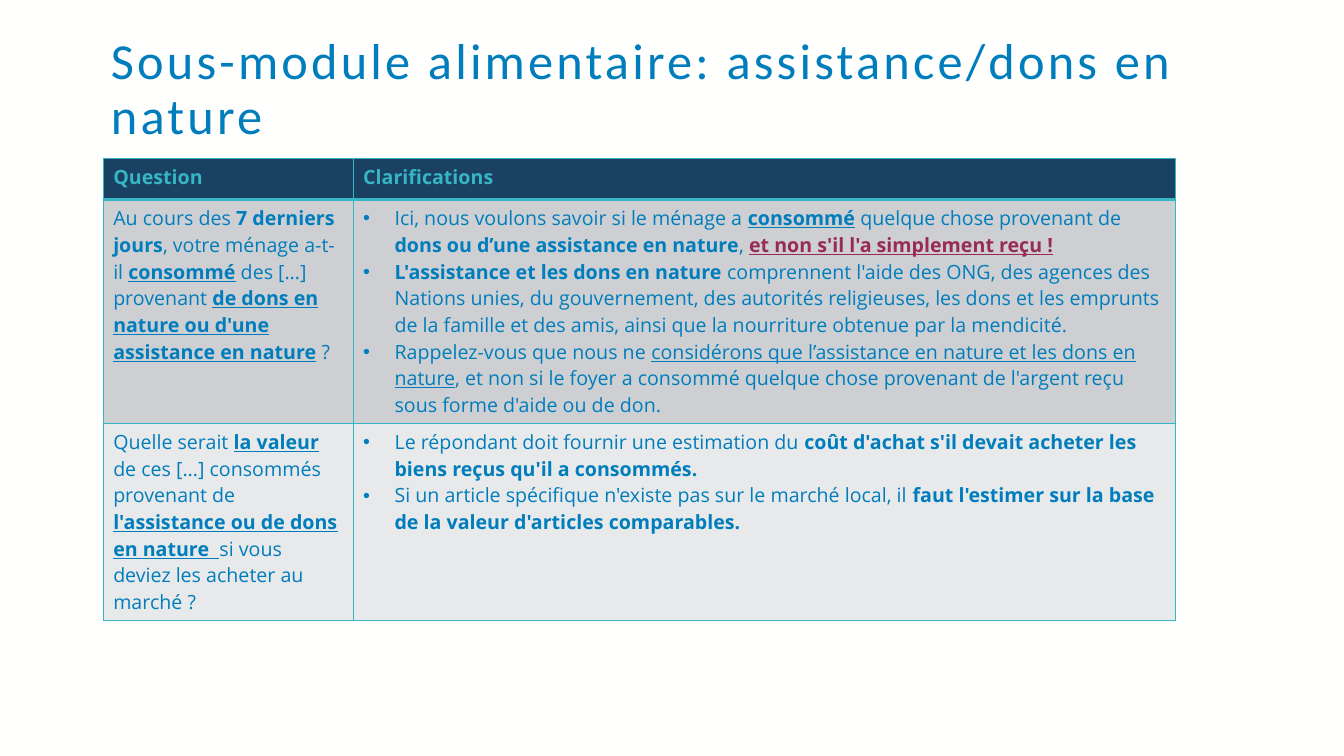
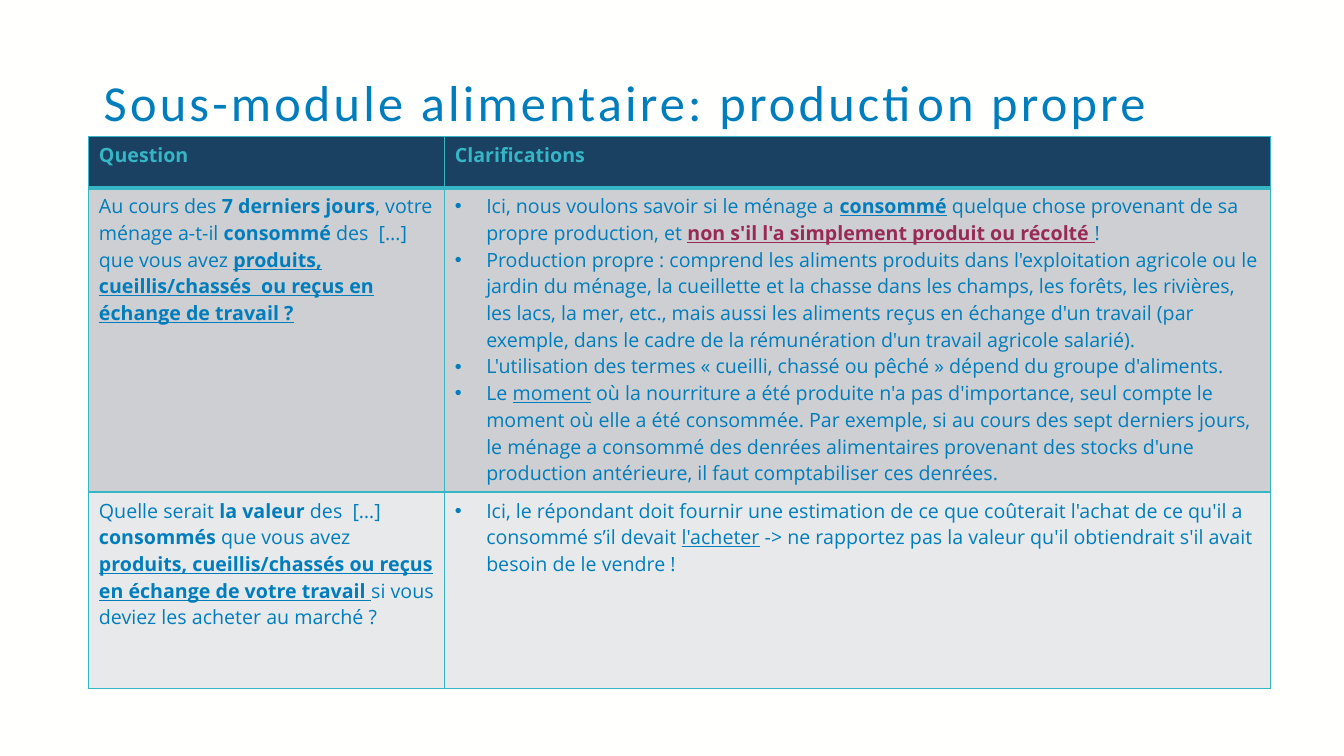
"""Builds two slides of questions and clarifications on the food sub-module."""
import pptx
import pptx.dml.color
import pptx.enum.text
import pptx.oxml
import pptx.oxml.ns
import pptx.util

Cm = pptx.util.Cm
Pt = pptx.util.Pt

COLORS = {
    "background": "FFFFFE",
    "text": "007DBC",
    "alert": "982B56",
    "teal": "36B5C5",
    "navy": "1A4161",
}
ROW_FILLS = [COLORS["navy"], "CDCFD2", "E8E9EA"]
TITLE_FONT = "Calibri"
TABLE_FONT = "Open Sans"
BULLET_INDENT = Cm(0.79)
HEADERS = ["Question", "Clarifications"]

STYLES = {
    "plain": {},
    "bold": {"bold": True},
    "line": {"underline": True},
    "key": {"bold": True, "underline": True},
    "alert": {"bold": True, "underline": True, "color": COLORS["alert"]},
    "header": {"bold": True, "color": COLORS["teal"]},
}

SLIDES = [
    {
        "title": "Sous-module alimentaire: assistance/dons en nature",
        "title_box": (2.54, 0.79, 30.23, 2.59),
        "table_at": (2.6, 3.99),
        "columns": [6.3, 20.73],
        "rows": [1.04, 5.61, 4.95],
        "entries": [
            {
                "question": [
                    ("Au cours des ", "plain"),
                    ("7 derniers jours", "bold"),
                    (", votre ménage a-t-il ", "plain"),
                    ("consommé", "key"),
                    (" des […]  provenant ", "plain"),
                    ("de dons en nature ou d'une assistance en nature", "key"),
                    (" ?", "plain"),
                ],
                "clarifications": [
                    [
                        ("Ici, nous voulons savoir si le ménage a ", "plain"),
                        ("consommé", "key"),
                        (" quelque chose provenant de ", "plain"),
                        ("dons ou d’une assistance en nature", "bold"),
                        (", ", "plain"),
                        ("et non s'il l'a simplement reçu !", "alert"),
                    ],
                    [
                        ("L'assistance et les dons en nature", "bold"),
                        (" comprennent l'aide des ONG, des agences des Nations unies, "
                         "du gouvernement, des autorités religieuses, les dons et les "
                         "emprunts de la famille et des amis, ainsi que la nourriture "
                         "obtenue par la mendicité.", "plain"),
                    ],
                    [
                        ("Rappelez-vous que nous ne ", "plain"),
                        ("considérons que l’assistance en nature et les dons en nature",
                         "line"),
                        (", et non si le foyer a consommé quelque chose provenant de "
                         "l'argent reçu sous forme d'aide ou de don.", "plain"),
                    ],
                ],
            },
            {
                "question": [
                    ("Quelle serait ", "plain"),
                    ("la valeur ", "key"),
                    ("de ces […] consommés provenant de ", "plain"),
                    ("l'assistance ou de dons en nature  ", "key"),
                    ("si vous deviez les acheter au marché ?", "plain"),
                ],
                "clarifications": [
                    [
                        ("Le répondant doit fournir une estimation du ", "plain"),
                        ("coût d'achat s'il devait acheter les biens reçus qu'il a "
                         "consommés.", "bold"),
                    ],
                    [
                        ("Si un article spécifique n'existe pas sur le marché local, il ",
                         "plain"),
                        ("faut l'estimer sur la base de la valeur d'articles "
                         "comparables.", "bold"),
                    ],
                ],
            },
        ],
    },
    {
        "title": "Sous-module alimentaire: production propre",
        "title_box": (2.36, 1.85, 29.29, 3.2),
        "table_at": (2.24, 3.43),
        "columns": [8.97, 20.8],
        "rows": [1.3, 7.67, 4.95],
        "entries": [
            {
                "question": [
                    ("Au cours des ", "plain"),
                    ("7 derniers jours", "bold"),
                    (", votre ménage a-t-il ", "plain"),
                    ("consommé", "bold"),
                    (" des  […] que vous avez ", "plain"),
                    ("produits, cueillis/chassés  ou reçus en échange de travail ?",
                     "key"),
                ],
                "clarifications": [
                    [
                        ("Ici, nous voulons savoir si le ménage a ", "plain"),
                        ("consommé", "key"),
                        (" quelque chose provenant de sa propre production, et ",
                         "plain"),
                        ("non s'il l'a simplement produit ou récolté ", "alert"),
                        ("!", "plain"),
                    ],
                    [
                        ("Production propre : comprend les aliments produits dans "
                         "l'exploitation agricole ou le jardin du ménage, la cueillette "
                         "et la chasse dans les champs, les forêts, les rivières, les "
                         "lacs, la mer, etc., mais aussi les aliments reçus en échange "
                         "d'un travail (par exemple, dans le cadre de la rémunération "
                         "d'un travail agricole salarié).", "plain"),
                    ],
                    [
                        ("L'utilisation des termes « cueilli, chassé ou pêché » dépend "
                         "du groupe d'aliments.", "plain"),
                    ],
                    [
                        ("Le ", "plain"),
                        ("moment", "line"),
                        (" où la nourriture a été produite n'a pas d'importance, seul "
                         "compte le moment où elle a été consommée. Par exemple, si au "
                         "cours des sept derniers jours, le ménage a consommé des "
                         "denrées alimentaires provenant des stocks d'une production "
                         "antérieure, il faut comptabiliser ces denrées.", "plain"),
                    ],
                ],
            },
            {
                "question": [
                    ("Quelle serait ", "plain"),
                    ("la valeur ", "bold"),
                    ("des  […]  ", "plain"),
                    ("consommés", "bold"),
                    (" que vous avez ", "plain"),
                    ("produits, cueillis/chassés ou reçus en échange de votre travail ",
                     "key"),
                    ("si vous deviez les acheter au marché ?", "plain"),
                ],
                "clarifications": [
                    [
                        ("Ici, le répondant doit fournir une estimation de ce que "
                         "coûterait l'achat de ce qu'il a consommé s’il devait ",
                         "plain"),
                        ("l'acheter", "line"),
                        (" -> ne rapportez pas la valeur qu'il obtiendrait s'il avait "
                         "besoin de le vendre !", "plain"),
                    ],
                ],
            },
        ],
    },
]


def rgb(color):
    return pptx.dml.color.RGBColor.from_string(color)


def add_text(paragraph, text, font=TABLE_FONT, size=14, color=COLORS["text"],
             bold=False, underline=False):
    span = paragraph.add_run()
    span.text = text
    span.font.name = font
    span.font.size = Pt(size)
    span.font.color.rgb = rgb(color)
    span.font.bold = bold
    span.font.underline = underline
    return span


def add_bullet(paragraph):
    properties = paragraph._p.get_or_add_pPr()
    properties.set("marL", str(BULLET_INDENT))
    properties.set("indent", str(-BULLET_INDENT))
    for tag, name, value in (("a:buFont", "typeface", "Arial"), ("a:buChar", "char", "•")):
        element = pptx.oxml.ns.qn(tag)
        properties.append(properties.makeelement(element, {name: value}))


def fill_cell(cell, paragraphs, bulleted=False):
    frame = cell.text_frame
    for index, spans in enumerate(paragraphs):
        paragraph = frame.add_paragraph() if index else frame.paragraphs[0]
        if bulleted:
            add_bullet(paragraph)
        for text, style in spans:
            add_text(paragraph, text, **STYLES[style])


def paint_cell(cell, row):
    widths = {"L": 1, "R": 1, "T": 3 if row == 1 else 1, "B": 3 if row == 0 else 1}
    properties = cell._tc.get_or_add_tcPr()
    for side, width in widths.items():
        properties.append(pptx.oxml.parse_xml(
            f'<a:ln{side} {pptx.oxml.ns.nsdecls("a")} w="{Pt(width)}"><a:solidFill>'
            f'<a:srgbClr val="{COLORS["teal"]}"/></a:solidFill></a:ln{side}>'))
    cell.fill.solid()
    cell.fill.fore_color.rgb = rgb(ROW_FILLS[row])


def add_title(page, text, box):
    title = page.shapes.title
    title.left, title.top, title.width, title.height = map(Cm, box)
    frame = title.text_frame
    frame.word_wrap = True
    frame.auto_size = pptx.enum.text.MSO_AUTO_SIZE.NONE
    frame.vertical_anchor = pptx.enum.text.MSO_ANCHOR.TOP
    paragraph = frame.paragraphs[0]
    paragraph.alignment = pptx.enum.text.PP_ALIGN.LEFT
    paragraph.line_spacing = 0.9
    span = add_text(paragraph, text, font=TITLE_FONT, size=36)
    span.font._element.set("spc", "230")


def add_question_table(page, content):
    columns, rows = content["columns"], content["rows"]
    left, top = content["table_at"]
    table = page.shapes.add_table(
        len(rows), len(columns), Cm(left), Cm(top), Cm(sum(columns)), Cm(sum(rows))
    ).table
    table.first_row = True
    table.horz_banding = False
    for column, width in zip(table.columns, columns):
        column.width = Cm(width)
    for column, header in enumerate(HEADERS):
        fill_cell(table.cell(0, column), [[(header, "header")]])
    for row, entry in enumerate(content["entries"], start=1):
        fill_cell(table.cell(row, 0), [entry["question"]])
        fill_cell(table.cell(row, 1), entry["clarifications"], bulleted=True)
    for row, height in enumerate(rows):
        table.rows[row].height = Cm(height)
        for cell in table.rows[row].cells:
            paint_cell(cell, row)


def main():
    deck = pptx.Presentation()
    deck.slide_width, deck.slide_height = Cm(33.87), Cm(19.05)
    background = deck.slide_master.background.fill
    background.solid()
    background.fore_color.rgb = rgb(COLORS["background"])
    for content in SLIDES:
        page = deck.slides.add_slide(deck.slide_layouts[5])
        add_title(page, content["title"], content["title_box"])
        add_question_table(page, content)
    deck.save("out.pptx")


if __name__ == "__main__":
    main()
